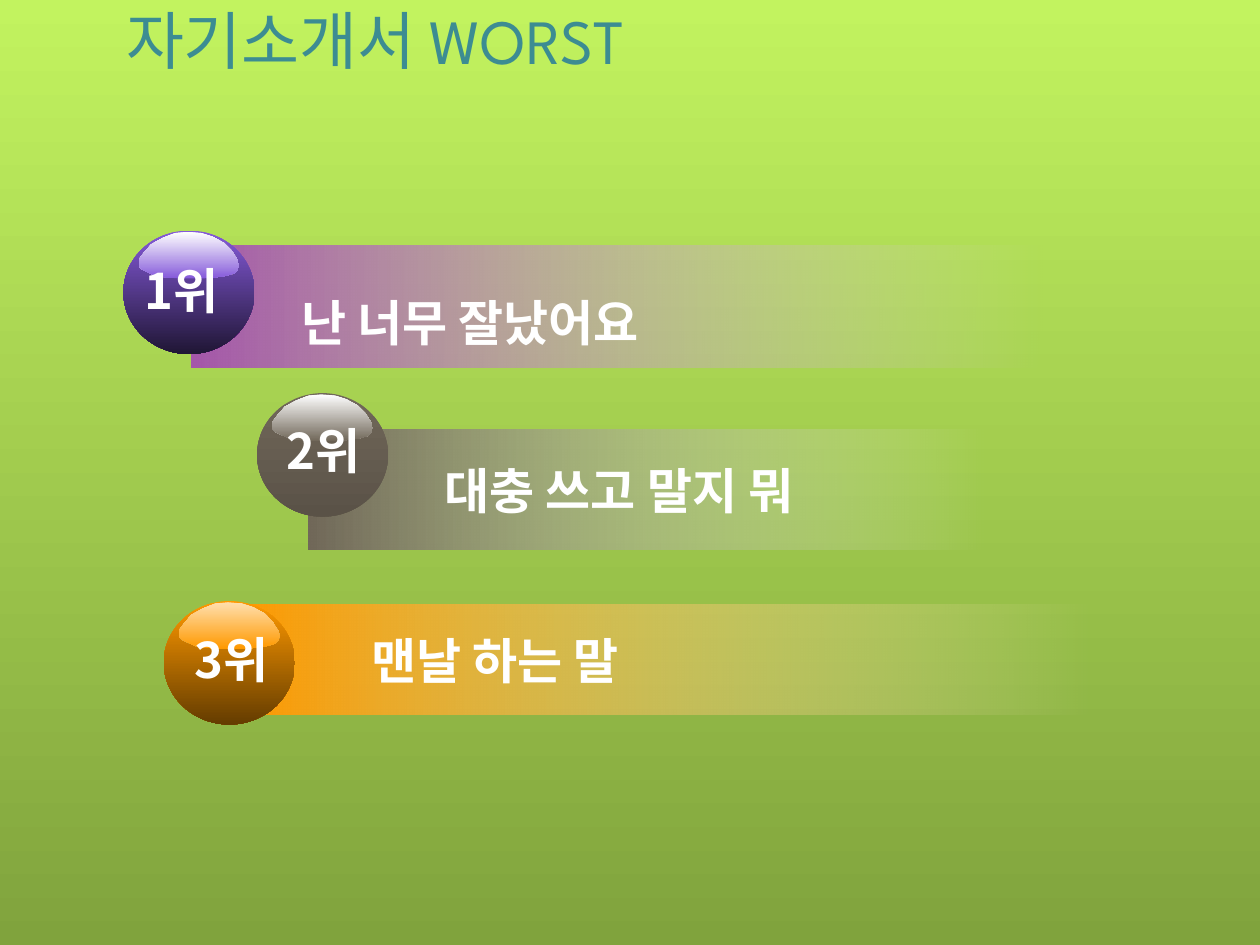
from dataclasses import dataclass

from lxml import etree
from pptx import Presentation
from pptx.dml.color import RGBColor
from pptx.enum.shapes import MSO_SHAPE
from pptx.enum.text import MSO_ANCHOR, MSO_AUTO_SIZE, PP_ALIGN
from pptx.oxml.ns import qn
from pptx.util import Inches, Pt

RECTANGLE, OVAL = MSO_SHAPE.RECTANGLE, MSO_SHAPE.OVAL
MIDDLE, BOTTOM = MSO_ANCHOR.MIDDLE, MSO_ANCHOR.BOTTOM
LEFT, CENTER = PP_ALIGN.LEFT, PP_ALIGN.CENTER
NO_AUTOFIT = MSO_AUTO_SIZE.NONE
TITLE_ONLY = 5
RIGHTWARD, DOWNWARD = 0, 270

GLOSS_OUTLINE = [
    (1, 21), (0, 23), (0, 27), (3, 30), (7, 32), (14, 35), (21, 36), (32, 37),
    (51, 37), (62, 36), (69, 35), (76, 33), (79, 30), (80, 27), (79, 23),
    (74, 15), (68, 9), (59, 4), (50, 1), (39, 0), (29, 1), (19, 5), (10, 10),
    (4, 17),
]


@dataclass(frozen=True)
class Theme:
    background: tuple = ("C2F35F", "80A33D")
    title_color: str = "3C8C92"
    text_color: str = "FFFFFF"
    title_font: str = "League Spartan"
    text_font: str = "Noto Sans CJK KR"
    title_size: int = 36
    text_size: int = 28
    purple_bar: tuple = ("A557AB", "E9D6EB")
    purple_ball: tuple = ("855ADA", "201635")
    purple_gloss: tuple = ("FFFFFF", "855ADA")
    brown_bar: tuple = ("71685A", "F2F1F0")
    brown_ball: tuple = ("71685A", "5A5247")
    brown_gloss: tuple = ("FFFFFF", "71685A")
    orange_bar: tuple = ("FF9900", "FFEDD1")
    orange_ball: tuple = ("FF9900", "643C00")
    orange_gloss: tuple = ("FFDFAE", "FF9900")


class RankingSlide:
    def __init__(self, slide, theme):
        self.slide = slide
        self.theme = theme

    def gradient(self, fill, colors, angle):
        fill.gradient()
        fill.gradient_angle = angle
        for stop, color in zip(fill.gradient_stops, colors):
            stop.color.rgb = RGBColor.from_string(color)

    def paint(self, shape, colors, angle):
        self.gradient(shape.fill, colors, angle)
        shape.line.fill.background()
        shape.shadow.inherit = False

    def set_text(self, frame, text, align, font_name, size, color, bold):
        frame.text = text
        paragraph = frame.paragraphs[0]
        paragraph.alignment = align
        for run in paragraph.runs:
            run.font.size = Pt(size)
            run.font.bold = bold
            run.font.color.rgb = RGBColor.from_string(color)
            run.font.name = font_name
            east_asian = etree.SubElement(run.font._element, qn("a:ea"))
            east_asian.set("typeface", self.theme.text_font)

    def label(self, frame, text, align):
        theme = self.theme
        self.set_text(frame, text, align, theme.text_font, theme.text_size,
                      theme.text_color, True)

    def background(self):
        self.gradient(self.slide.background.fill, self.theme.background, DOWNWARD)

    def title(self, text, left, top, width, height):
        theme = self.theme
        title = self.slide.shapes.title
        title.left, title.top = Inches(left), Inches(top)
        title.width, title.height = Inches(width), Inches(height)
        frame = title.text_frame
        frame.vertical_anchor = BOTTOM
        frame.auto_size = NO_AUTOFIT
        self.set_text(frame, text, LEFT, theme.title_font, theme.title_size,
                      theme.title_color, False)

    def bar(self, text, box, indent, top_inset, colors):
        bar = self.slide.shapes.add_shape(RECTANGLE, *map(Inches, box))
        self.paint(bar, colors, RIGHTWARD)
        faded = bar.element.xpath("p:spPr/a:gradFill/a:gsLst/a:gs[2]/a:srgbClr")[0]
        etree.SubElement(faded, qn("a:alpha")).set("val", "0")
        frame = bar.text_frame
        frame.word_wrap = True
        frame.vertical_anchor = MIDDLE
        frame.margin_left = Inches(indent)
        frame.margin_top = Inches(top_inset)
        self.label(frame, text, LEFT)

    def badge(self, rank, left, top, rank_left, rank_top, ball_colors, gloss_colors):
        shapes = self.slide.shapes
        ball = shapes.add_shape(OVAL, Inches(left), Inches(top),
                                Inches(1.04), Inches(0.98))
        self.paint(ball, ball_colors, DOWNWARD)
        outline = shapes.build_freeform(*GLOSS_OUTLINE[0], scale=Inches(0.01))
        outline.add_line_segments(GLOSS_OUTLINE[1:], close=True)
        gloss = outline.convert_to_shape(Inches(left + 0.12), Inches(top + 0.01))
        self.paint(gloss, gloss_colors, DOWNWARD)
        caption = shapes.add_textbox(Inches(rank_left), Inches(rank_top),
                                     Inches(0.88), Inches(0.57))
        caption.text_frame.word_wrap = False
        self.label(caption.text_frame, rank, CENTER)


def main():
    presentation = Presentation()
    presentation.slide_width, presentation.slide_height = Inches(10), Inches(7.5)
    theme = Theme()
    slide = presentation.slides.add_slide(presentation.slide_layouts[TITLE_ONLY])
    ranking = RankingSlide(slide, theme)
    ranking.background()
    ranking.title("자기소개서 WORST", 0.9, 0.13, 7.75, 0.53)

    ranking.bar("난 너무 잘났어요", (1.52, 1.95, 6.76, 0.97), 0.87, 0.29,
                theme.purple_bar)
    ranking.badge("1위", 0.98, 1.83, 1, 2.02, theme.purple_ball, theme.purple_gloss)
    ranking.bar("대충 쓰고 말지 뭐", (2.45, 3.41, 5.38, 0.95), 1.08, 0.05,
                theme.brown_bar)
    ranking.badge("2위", 2.04, 3.12, 2.13, 3.29, theme.brown_ball, theme.brown_gloss)
    ranking.bar("맨날 하는 말", (1.87, 4.8, 6.81, 0.87), 1.08, 0.05,
                theme.orange_bar)
    ranking.badge("3위", 1.3, 4.77, 1.4, 4.95, theme.orange_ball, theme.orange_gloss)
    presentation.save("out.pptx")


if __name__ == "__main__":
    main()
